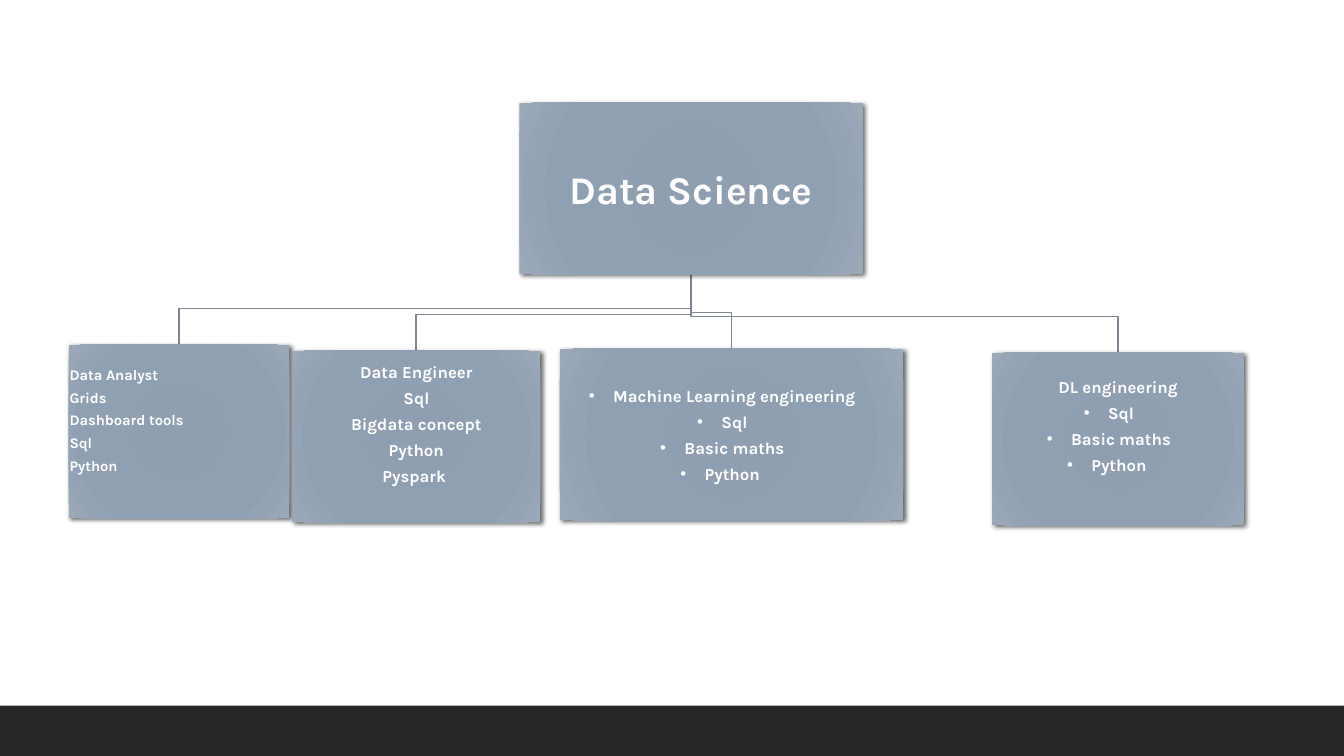
from lxml.etree import SubElement
from pptx import Presentation
from pptx.dml.color import RGBColor
from pptx.enum.shapes import MSO_SHAPE
from pptx.enum.text import MSO_ANCHOR, PP_ALIGN
from pptx.oxml import parse_xml
from pptx.oxml.ns import nsdecls, qn
from pptx.util import Inches, Pt

WIDTH, HEIGHT = 13.33, 7.5
BRANCH_DROP = 0.36
PARAGRAPH_GAP = 0.35
LINE_PITCH = 1.55
GRADIENT = [(0, "8D9CAE"), (34, "8F9EB0"), (70, "90A0B3"), (100, "9AA8B8")]

ROOT_BOX = (5.15, 1.02, 3.41, 1.7)
ROLES = [
    {"box": (0.68, 3.42, 2.19, 1.72), "size": 10.5, "align": PP_ALIGN.LEFT, "spare_lines": 1,
     "lines": ["Data Analyst", "Grids", "Dashboard tools", "Sql", "Python"]},
    {"box": (9.84, 3.5, 2.5, 1.71), "spare_lines": 1, "first_bullet": 1,
     "lines": ["DL engineering", "Sql", "Basic maths", "Python "]},
    {"box": (2.9, 3.48, 2.46, 1.7), "spare_lines": 1,
     "lines": ["Data Engineer", "Sql", "Bigdata concept", "Python", "Pyspark "]},
    {"box": (5.55, 3.46, 3.41, 1.7), "first_bullet": 0,
     "lines": ["Machine Learning engineering", "Sql", "Basic maths", "Python "]},
]


def color(hex_string):
    """Turn a hex string into a colour."""
    return RGBColor.from_string(hex_string)


def add_footer_bar(slide, box):
    """Draw the dark bar along the bottom edge."""
    bar = slide.shapes.add_shape(MSO_SHAPE.RECTANGLE, *map(Inches, box))
    bar.shadow.inherit = False
    bar.fill.solid()
    bar.fill.fore_color.rgb = color("262626")
    bar.line.fill.background()


def add_branch(slide, parent, child):
    """Draw the bent line from the parent's bottom to the child's top."""
    start_x, start_y = parent[0] + parent[2] / 2, parent[1] + parent[3]
    end_x, end_y = child[0] + child[2] / 2, child[1]
    bend_y = end_y - BRANCH_DROP
    builder = slide.shapes.build_freeform(Inches(start_x), Inches(start_y))
    corners = [(start_x, bend_y), (end_x, bend_y), (end_x, end_y)]
    builder.add_line_segments([(Inches(x), Inches(y)) for x, y in corners], close=False)
    branch = builder.convert_to_shape()
    branch.shadow.inherit = False
    branch.fill.background()
    branch.line.color.rgb = color("7C8793")
    branch.line.width = Pt(1.25)


def style_node(node):
    """Give a node its radial gradient and soft shadow."""
    node.line.fill.background()
    stops = "".join(f'<a:gs pos="{share * 1000}"><a:srgbClr val="{tone}"/></a:gs>'
                    for share, tone in GRADIENT)
    gradient = parse_xml(
        f'<a:gradFill {nsdecls("a")} rotWithShape="1"><a:gsLst>{stops}</a:gsLst>'
        '<a:path path="circle"><a:fillToRect l="100000" t="100000" r="100000" b="100000"/>'
        '</a:path></a:gradFill>')
    shadow = parse_xml(
        f'<a:effectLst {nsdecls("a")}><a:outerShdw blurRad="{Pt(3.5)}" dist="{Pt(2)}" '
        'dir="2700000" rotWithShape="0"><a:srgbClr val="000000"><a:alpha val="60000"/>'
        '</a:srgbClr></a:outerShdw></a:effectLst>')
    properties = node.element.spPr
    properties.find(qn("a:prstGeom")).addnext(gradient)
    properties.find(qn("a:ln")).addnext(shadow)


def add_bullet(paragraph):
    """Put a round bullet with a hanging indent on a paragraph."""
    properties = paragraph._p.get_or_add_pPr()
    properties.set("marL", str(Inches(0.05)))
    properties.set("indent", str(Inches(-0.24)))
    SubElement(properties, qn("a:buFont"), typeface="Arial")
    SubElement(properties, qn("a:buChar"), char="•")


def add_node(slide, box, lines, size=12, align=PP_ALIGN.CENTER, spare_lines=0,
             first_bullet=None, inset=0.01):
    """Draw one box of the tree with its lines of text."""
    node = slide.shapes.add_shape(MSO_SHAPE.RECTANGLE, *map(Inches, box))
    style_node(node)
    frame = node.text_frame
    frame.word_wrap = True
    frame.vertical_anchor = MSO_ANCHOR.MIDDLE
    frame.margin_left = frame.margin_right = frame.margin_top = Inches(inset)
    frame.margin_bottom = Inches(inset) + Pt(spare_lines * size * LINE_PITCH)
    for index, line in enumerate(lines):
        paragraph = frame.paragraphs[0] if index == 0 else frame.add_paragraph()
        if first_bullet is not None and index >= first_bullet:
            add_bullet(paragraph)
        paragraph.alignment = align
        paragraph.space_after = Pt(size * PARAGRAPH_GAP)
        run = paragraph.add_run()
        run.text = line
        run.font.name = "Karla"
        run.font.size = Pt(size)
        run.font.bold = True
        run.font.color.rgb = color("FFFFFF")


def add_role_tree(slide):
    """Draw the branches, the root and the role boxes."""
    for role in ROLES:
        add_branch(slide, ROOT_BOX, role["box"])
    add_node(slide, ROOT_BOX, ["Data Science"], size=28, inset=0.02)
    for role in ROLES:
        add_node(slide, **role)


def main():
    """Build and save the slide."""
    deck = Presentation()
    deck.slide_width, deck.slide_height = Inches(WIDTH), Inches(HEIGHT)
    slide = deck.slides.add_slide(deck.slide_layouts[6])
    add_footer_bar(slide, (0, HEIGHT - 0.5, WIDTH, 0.5))
    add_role_tree(slide)
    deck.save("out.pptx")


if __name__ == "__main__":
    main()
